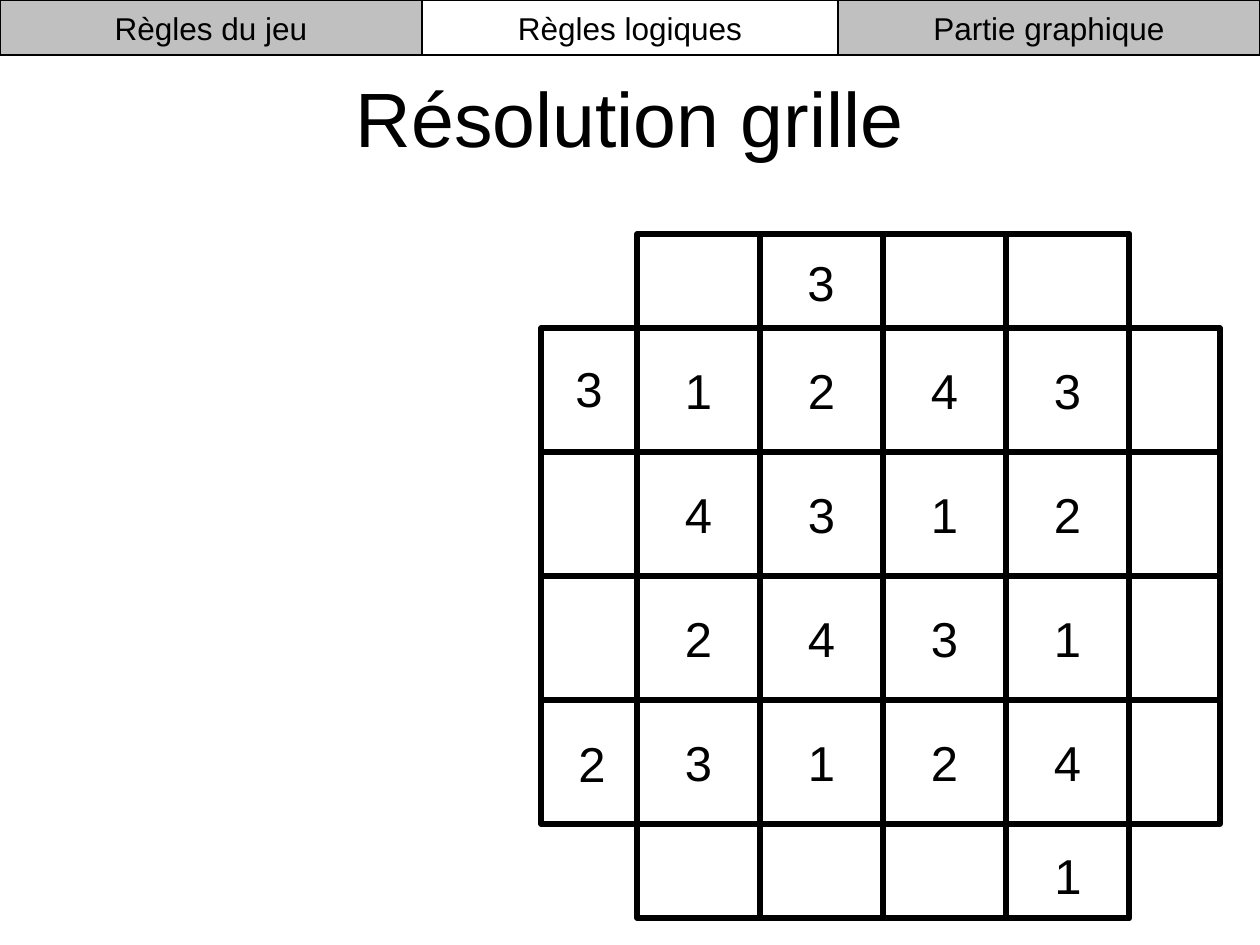
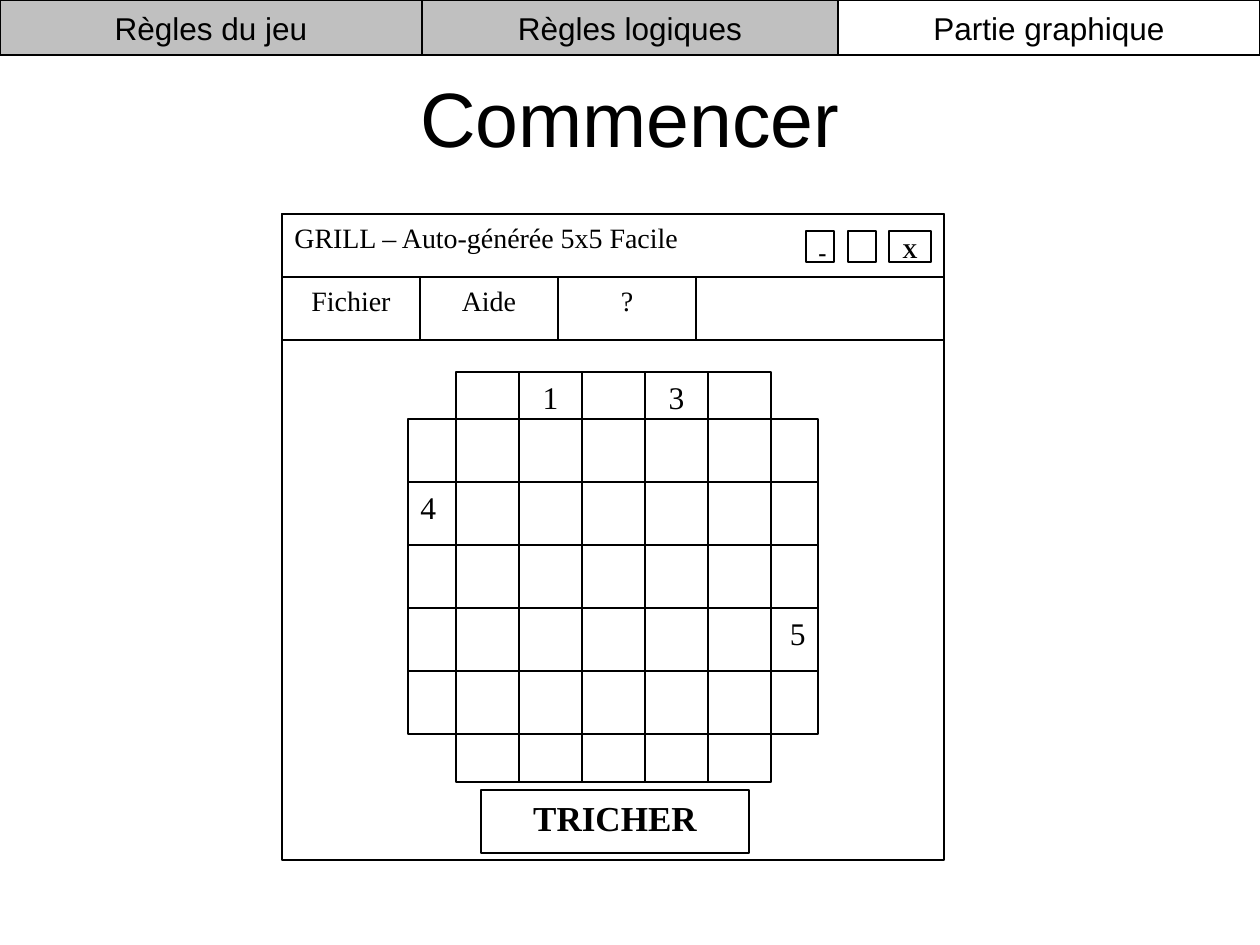
"""Build two slides of a number puzzle talk: a solved grid and the game window."""
from lxml.etree import SubElement
from pptx import Presentation
from pptx.dml.color import RGBColor
from pptx.enum.shapes import MSO_CONNECTOR, MSO_SHAPE
from pptx.enum.text import MSO_ANCHOR, PP_ALIGN
from pptx.oxml.ns import qn
from pptx.util import Inches, Pt

BLACK = RGBColor(0x00, 0x00, 0x00)
WHITE = RGBColor(0xFF, 0xFF, 0xFF)
GREY = RGBColor(0xC0, 0xC0, 0xC0)
EMU_PER_PX = Inches(1) / 126
SANS = "Arial"
SERIF = "Times New Roman"
THIN, THICK = 0.75, 3
TITLE_FORMAT = {"name": SANS, "size": Pt(44)}
TAB_FORMAT = {"name": SANS, "size": Pt(18)}
DIGIT_FORMAT = {"name": SANS, "size": Pt(28)}
MENU_FORMAT = {"name": SERIF, "size": Pt(16)}
CLUE_FORMAT = {"name": SERIF, "size": Pt(18)}
MINIMIZE_FORMAT = {"name": SERIF, "size": Pt(14), "bold": True}
CLOSE_FORMAT = {"name": SERIF, "size": Pt(12), "bold": True}
BUTTON_FORMAT = {"name": SERIF, "size": Pt(20), "bold": True}
TABS = [
    ("Règles logiques", 0, 1260),
    ("Règles du jeu", 0, 422),
    ("Partie graphique", 838, 422),
]


def emu(*lengths):
    """Turn px lengths into EMU."""
    return [round(length * EMU_PER_PX) for length in lengths]


class SlideBuilder:
    """Hold the shared style and draw on the current slide."""

    def __init__(self):
        """Open a deck of 10 by 7.5 inches."""
        self.deck = Presentation()
        self.deck.slide_width, self.deck.slide_height = emu(1260, 945)
        self.page = None

    def start(self, title):
        """Add a slide with its title."""
        self.page = self.deck.slides.add_slide(self.deck.slide_layouts[5])
        box = self.page.shapes.title
        box.left, box.top, box.width, box.height = emu(63, 38, 1134, 157)
        self.set_text(box, title, TITLE_FORMAT, anchor=MSO_ANCHOR.MIDDLE)

    def set_text(self, box, text, font_format, align=PP_ALIGN.CENTER, anchor=MSO_ANCHOR.TOP):
        """Put one formatted line of text in a box."""
        frame_format = {"word_wrap": True, "vertical_anchor": anchor}
        for name, value in frame_format.items():
            setattr(box.text_frame, name, value)
        para = box.text_frame.paragraphs[0]
        para.alignment = align
        span = para.add_run()
        span.text = text
        for name, value in font_format.items():
            setattr(span.font, name, value)
        span.font.color.rgb = BLACK

    def rectangle(self, left, top, width, height, fill=None, weight=THIN):
        """Draw an outlined rectangle, hollow unless a fill is given."""
        box = self.page.shapes.add_shape(
            MSO_SHAPE.RECTANGLE, *emu(left, top, width, height))
        box.shadow.inherit = False
        if fill is None:
            box.fill.background()
        else:
            box.fill.solid()
            box.fill.fore_color.rgb = fill
        box.line.color.rgb = BLACK
        box.line.width = Pt(weight)
        return box

    def label(self, text, left, top, width, height, anchor=MSO_ANCHOR.TOP):
        """Place a grid digit in a text box."""
        box = self.page.shapes.add_textbox(*emu(left, top, width, height))
        self.set_text(box, text, DIGIT_FORMAT, anchor=anchor)

    def line(self, start_x, end_x, y):
        """Draw a thick horizontal line."""
        connector = self.page.shapes.add_connector(
            MSO_CONNECTOR.STRAIGHT, *emu(start_x, y, end_x, y))
        connector.line.color.rgb = BLACK
        connector.line.width = Pt(THICK)
        SubElement(connector._element.spPr, qn("a:effectLst"))

    def tabs(self, active):
        """Draw the navigation band with the active section in white."""
        for text, left, width in TABS:
            box = self.rectangle(left, 0, width, 55, WHITE if text == active else GREY)
            self.set_text(box, text, TAB_FORMAT, anchor=MSO_ANCHOR.MIDDLE)


def build_solution(builder):
    """Draw the solved four by four grid with its clues."""
    builder.start("Résolution grille")
    left, top, column, row = 637, 328, 123, 124
    for first, count in [(0, 4), (1, 1), (3, 1)]:
        builder.rectangle(left + first * column, 234, count * column, 684, weight=THICK)
    for first, count in [(0, 4), (1, 1)]:
        builder.rectangle(541, top + first * row, 679, count * row, weight=THICK)
    for start_x, end_x in [(547, 1221), (571, 542)]:
        builder.line(start_x, end_x, 700)
    clues = [("3", 771, 246), ("3", 544, 352), ("1", 1023, 839), ("2", 547, 727)]
    for text, clue_left, clue_top in clues:
        builder.label(text, clue_left, clue_top, 90 if clue_top > 246 else 100, 72)
    for row_index, digits in enumerate(["1243", "4312", "2431", "3124"]):
        for column_index, digit in enumerate(digits):
            builder.label(digit, left + 2 + column_index * column,
                          top + 2 + row_index * row, 119, 119, MSO_ANCHOR.MIDDLE)
    builder.tabs("Règles logiques")


def build_game_window(builder):
    """Draw the game window with an empty five by five grid."""
    builder.start("Commencer")
    cell, span = 63, 410
    grid_left, grid_top, side = 456, 419, 5 * cell
    builder.rectangle(grid_left, 372, side, span)
    for index, text in [(1, "1"), (3, "3")]:
        box = builder.rectangle(grid_left + index * cell, 372, cell, span)
        builder.set_text(box, text, CLUE_FORMAT)

    left, top, width = 282, 214, 662
    builder.rectangle(left, top, width, 646)
    bar = builder.rectangle(left, top, width, cell, WHITE)
    builder.set_text(bar, "GRILL – Auto-générée 5x5 Facile", MENU_FORMAT, PP_ALIGN.LEFT)
    menu_top, menu_width = top + cell, 138
    menus = ["Fichier", "Aide", "?"]
    for index, text in enumerate(menus):
        box = builder.rectangle(left + index * menu_width, menu_top, menu_width, cell, WHITE)
        builder.set_text(box, text, MENU_FORMAT)
    used = len(menus) * menu_width
    builder.rectangle(left + used, menu_top, width - used, cell, WHITE)
    controls = [("X", 889, 42, CLOSE_FORMAT), ("", 848, 28, None),
                ("-", 806, 28, MINIMIZE_FORMAT)]
    for text, control_left, control_width, font_format in controls:
        box = builder.rectangle(control_left, 231, control_width, 31, WHITE)
        if text:
            builder.set_text(box, text, font_format)

    builder.rectangle(408, grid_top, span, side)
    for index, text, align in [(1, "4", PP_ALIGN.LEFT), (3, "5", PP_ALIGN.RIGHT)]:
        box = builder.rectangle(408, grid_top + index * cell, span, cell)
        builder.set_text(box, text, CLUE_FORMAT, align)
    button = builder.rectangle(481, 790, 268, cell, WHITE)
    builder.set_text(button, "TRICHER", BUTTON_FORMAT)
    builder.tabs("Partie graphique")


def main():
    """Build both slides and save the deck."""
    builder = SlideBuilder()
    build_solution(builder)
    build_game_window(builder)
    builder.deck.save("out.pptx")


if __name__ == "__main__":
    main()
